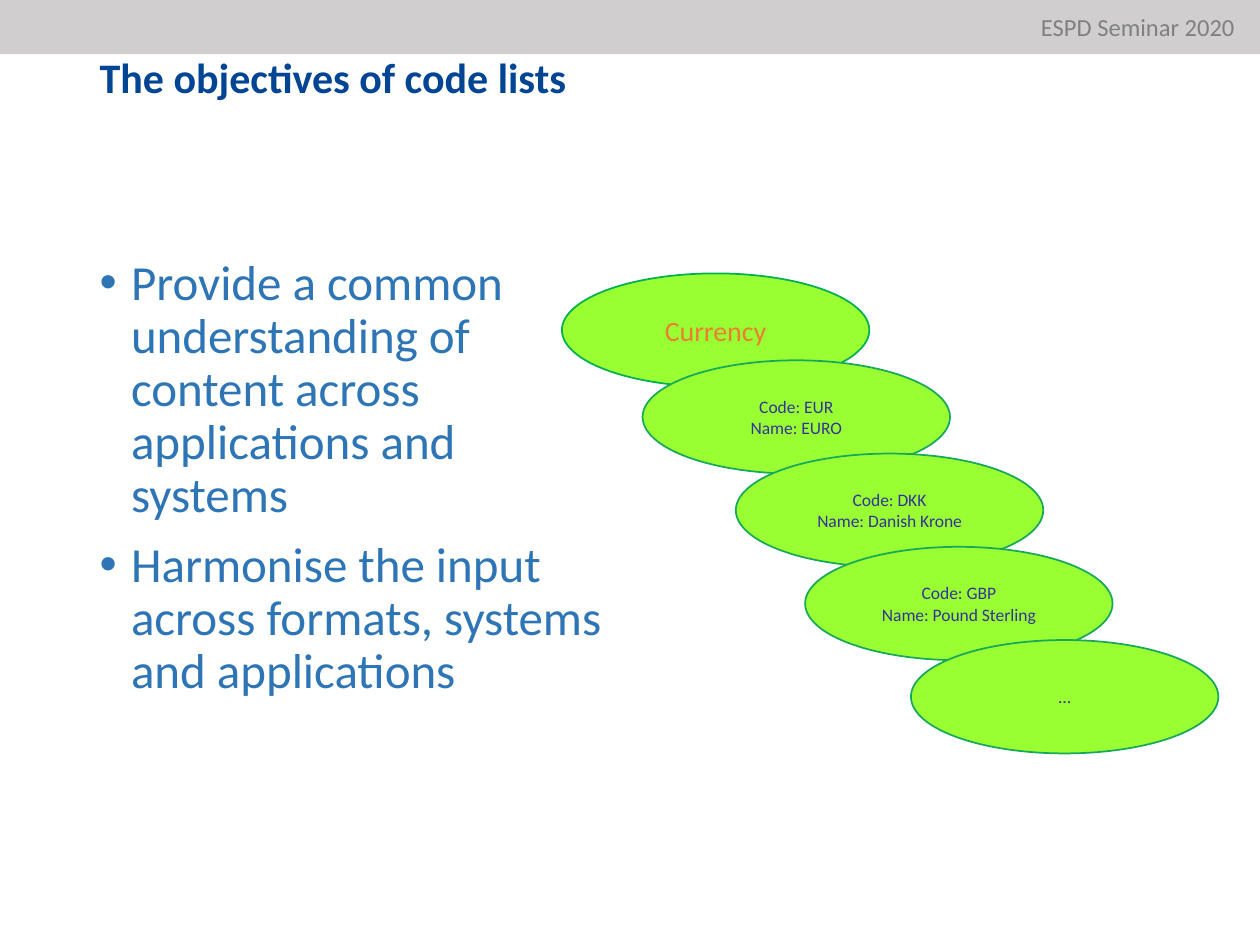
from dataclasses import dataclass

from lxml import etree
from pptx import Presentation
from pptx.dml.color import RGBColor
from pptx.enum import shapes, text
from pptx.oxml.ns import qn
from pptx.util import Emu, Inches, Pt

FONT = "Calibri"
NAVY = RGBColor(0x00, 0x44, 0x94)
BLUE = RGBColor(0x2E, 0x75, 0xB6)
INDIGO = RGBColor(0x33, 0x33, 0x99)
ORANGE = RGBColor(0xED, 0x7D, 0x31)
LIME = RGBColor(0x99, 0xFF, 0x33)
GREEN = RGBColor(0x00, 0xB0, 0x50)
SEA_GREEN = RGBColor(0x17, 0xA9, 0x59)
SILVER = RGBColor(0xD0, 0xCE, 0xCE)
GRAY = RGBColor(0x80, 0x80, 0x80)

MARGIN = 0.69
FIRST_ENTRY_TOP, ENTRY_STEP = 2.86, 0.74
ENTRY_WIDTH, ENTRY_HEIGHT = 2.44, 0.9


@dataclass
class Entry:
    left: float
    top: float
    lines: tuple[str, ...]
    size: int = 10
    color: RGBColor = INDIGO
    outline: RGBColor = SEA_GREEN


ENTRY_COLUMNS = (
    (5.1, ("Code: EUR", "Name: EURO")),
    (5.84, ("Code: DKK", "Name: Danish Krone")),
    (6.39, ("Code: GBP", "Name: Pound Sterling")),
    (7.23, ("…",)),
)
ENTRIES = [Entry(4.46, 2.17, ("Currency",), 16, ORANGE, GREEN)] + [
    Entry(left, FIRST_ENTRY_TOP + row * ENTRY_STEP, lines)
    for row, (left, lines) in enumerate(ENTRY_COLUMNS)
]
OBJECTIVES = (
    "Provide a common understanding of content across applications and systems",
    "Harmonise the input across formats, systems and applications",
)


def place(box, left: float, top: float, width: float, height: float) -> None:
    box.left, box.top = Inches(left), Inches(top)
    box.width, box.height = Inches(width), Inches(height)


def write(box, lines: tuple[str, ...], size: int, color: RGBColor,
          align, anchor, bold: bool = False) -> list:
    """Fill a box with one paragraph per line and return the paragraphs."""
    frame = box.text_frame
    frame.word_wrap = True
    frame.auto_size = text.MSO_AUTO_SIZE.NONE
    frame.vertical_anchor = anchor
    for number, line in enumerate(lines):
        para = frame.add_paragraph() if number else frame.paragraphs[0]
        para.alignment = align
        span = para.add_run()
        span.text = line
        span.font.name, span.font.size, span.font.bold = FONT, Pt(size), bold
        span.font.color.rgb = color
    return list(frame.paragraphs)


def add_bullet(para) -> None:
    properties = para._p.get_or_add_pPr()
    properties.set("marL", str(Inches(0.25)))
    properties.set("indent", str(-Inches(0.25)))
    etree.SubElement(properties, qn("a:buFont")).set("typeface", "Arial")
    etree.SubElement(properties, qn("a:buChar")).set("char", "•")


def draw_entry(group, entry: Entry) -> None:
    oval = group.shapes.add_shape(
        shapes.MSO_SHAPE.OVAL, Inches(entry.left), Inches(entry.top),
        Inches(ENTRY_WIDTH), Inches(ENTRY_HEIGHT))
    oval.shadow.inherit = False
    oval.fill.solid()
    oval.fill.fore_color.rgb = LIME
    oval.line.color.rgb = entry.outline
    oval.line.width = Pt(1)
    write(oval, entry.lines, entry.size, entry.color,
          text.PP_ALIGN.CENTER, text.MSO_ANCHOR.MIDDLE)


def main() -> None:
    deck = Presentation()
    deck.slide_width, deck.slide_height = Inches(10), Inches(7.5)
    page = deck.slides.add_slide(deck.slide_layouts[1])

    # Title
    title = page.shapes.title
    place(title, MARGIN, 0.4, 10 - 2 * MARGIN, 1.45)
    heading, = write(title, ("The objectives of code lists",), 24, NAVY,
                     text.PP_ALIGN.LEFT, text.MSO_ANCHOR.TOP, bold=True)
    heading.line_spacing = 0.9

    # Objectives
    body = page.placeholders[1]
    place(body, MARGIN, 2, 4.25, 4.76)
    objectives = write(body, OBJECTIVES, 28, BLUE,
                       text.PP_ALIGN.LEFT, text.MSO_ANCHOR.TOP)
    for number, para in enumerate(objectives):
        add_bullet(para)
        para.line_spacing = 0.9
        para.space_before = Pt(10 if number else 0)

    # Cascade of code list entries
    cascade = page.shapes.add_group_shape()
    for entry in ENTRIES:
        draw_entry(cascade, entry)

    # Seminar band
    band = page.shapes.add_shape(shapes.MSO_SHAPE.RECTANGLE, Emu(0), Emu(0),
                                 deck.slide_width, Inches(0.43))
    band.shadow.inherit = False
    band.fill.solid()
    band.fill.fore_color.rgb = SILVER
    band.line.fill.background()
    band.text_frame.margin_right = Inches(0.2)
    write(band, ("ESPD Seminar 2020",), 14, GRAY,
          text.PP_ALIGN.RIGHT, text.MSO_ANCHOR.MIDDLE)

    deck.save("out.pptx")


if __name__ == "__main__":
    main()
